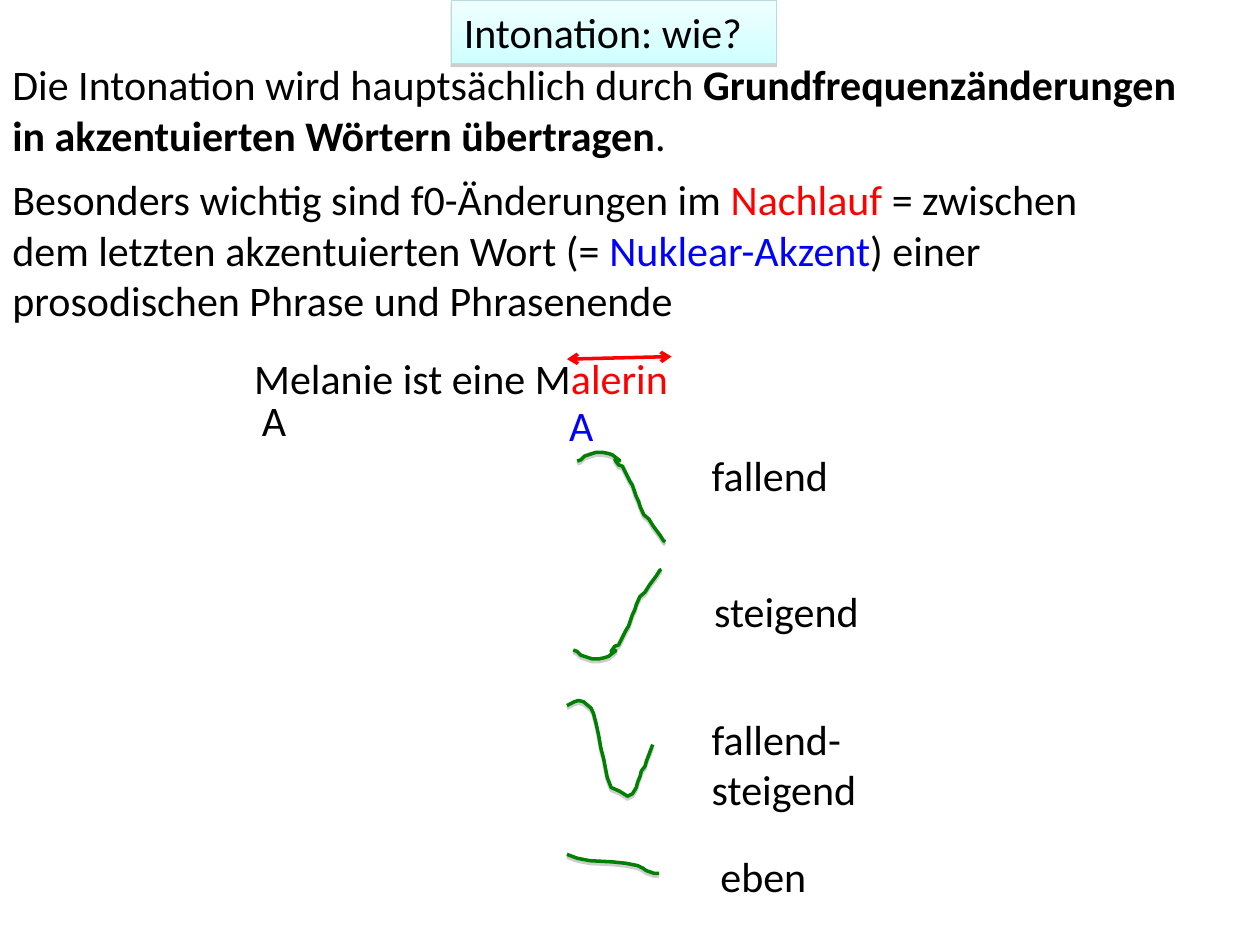
from lxml.etree import SubElement
from pptx import Presentation
from pptx.dml.color import RGBColor
from pptx.enum.shapes import MSO_CONNECTOR
from pptx.enum.text import MSO_ANCHOR, MSO_AUTO_SIZE, PP_ALIGN
from pptx.oxml.ns import qn
from pptx.util import Pt

BLACK = RGBColor(0x00, 0x00, 0x00)
RED = RGBColor(0xFF, 0x00, 0x00)
BLUE = RGBColor(0x00, 0x00, 0xFF)
GREEN = RGBColor(0x00, 0x80, 0x00)
PALE = RGBColor(0xF0, 0xFF, 0xFF)
CYAN = RGBColor(0xCF, 0xFF, 0xFF)
EDGE = RGBColor(0xB6, 0xDC, 0xDF)

TITLE = ((257.8, 0, 185.8, 36.4), [("Intonation: wie?", {})])
TEXTS = [
    ((0, 30.2, 702, 64.8), [
        ("Die Intonation wird hauptsächlich durch ", {}),
        ("Grundfrequenzänderungen in akzentuierten Wörtern übertragen", {"bold": True}),
        (".", {})]),
    ((0, 95.8, 666, 93.6), [
        ("Besonders wichtig sind f0-Änderungen im ", {}),
        ("Nachlauf ", {"color": RED}),
        ("= zwischen dem letzten akzentuierten Wort (= ", {}),
        ("Nuklear-Akzent", {"color": BLUE}),
        (") einer prosodischen Phrase und Phrasenende", {})]),
    ((138.2, 198, 282.2, 36), [("Melanie ist eine M", {}), ("alerin", {"color": RED})]),
    ((142.6, 221.8, 28.1, 36), [("A", {})]),
    ((318.2, 224.6, 33.8, 36), [("A", {"color": BLUE})]),
    ((399.6, 253.4, 122.4, 36), [("fallend", {})]),
    ((401, 331.2, 121, 36), [("steigend", {})]),
    ((399.6, 403.9, 140.4, 64.8), [("fallend-steigend", {})]),
    ((404.6, 482.4, 67.7, 36), [("eben", {})]),
]
NACHLAUF_ARROW = (324, 205.2, 383.8, 203.8)

FALLING = [
    (329.8, 263.5), (331.9, 262.8), (334.1, 260.6), (338.4, 259.2), (340.6, 258.5),
    (344.5, 258.5), (347.8, 259.2), (349.9, 259.9), (354.2, 263.2), (351.4, 262.8),
    (353.5, 265.7), (355.7, 266.4), (360, 275), (361.4, 277.2), (363.6, 283.7),
    (365, 286.6), (365.8, 289.4), (367.9, 294.1), (370.8, 296.6), (373.3, 300.6),
    (377.3, 306), (379.2, 309), (380.2, 309.6)]
RISING = [(x - 2.2, 635 - y) for x, y in FALLING]
FALL_RISE = [
    (324, 403.2), (328.3, 401), (330.5, 400.3), (333.4, 401), (337.7, 404.6),
    (339.1, 407.5), (340.6, 413.3), (342, 419.8), (343.4, 427.7), (344.9, 433.4),
    (346.3, 440.6), (347, 444.2), (349.2, 450), (354.2, 452.2), (358.6, 455),
    (361.4, 453.6), (363.6, 450), (364.3, 447.1), (365.8, 443.5), (366.5, 440.6),
    (368.6, 437.8), (369.4, 434.9), (370.8, 431.3), (372.4, 427), (373, 425.5)]
LEVEL = [
    (324, 488.2), (329.8, 490.4), (337, 491.8), (349.9, 492.5), (357.5, 493.3),
    (364.3, 494.6), (367, 495.9), (369.4, 497.5), (373.7, 499), (376.6, 499)]


def add_effects(sp, shadow=True):
    effects = SubElement(sp._element.spPr, qn("a:effectLst"))
    if shadow:
        outer = SubElement(effects, qn("a:outerShdw"), blurRad="0",
                           dist=str(Pt(1.6)), dir="5400000", rotWithShape="0")
        color = SubElement(outer, qn("a:srgbClr"), val="808080")
        SubElement(color, qn("a:alpha"), val="38000")


def write(sp, runs, auto_size=MSO_AUTO_SIZE.SHAPE_TO_FIT_TEXT):
    tf = sp.text_frame
    frame = {"word_wrap": True, "auto_size": auto_size,
             "vertical_anchor": MSO_ANCHOR.TOP}
    for name, value in frame.items():
        setattr(tf, name, value)
    p = tf.paragraphs[0]
    p.alignment = PP_ALIGN.LEFT
    for text, style in runs:
        r = p.add_run()
        r.text = text
        font = {"name": "Calibri", "size": Pt(24), "bold": style.get("bold", False)}
        for name, value in font.items():
            setattr(r.font, name, value)
        r.font.color.rgb = style.get("color", BLACK)


def draw_line(sp, color, width):
    sp.line.color.rgb = color
    sp.line.width = Pt(width)


def add_contour(slide, points):
    (x, y), *rest = [(Pt(px), Pt(py)) for px, py in points]
    builder = slide.shapes.build_freeform(x, y)
    builder.add_line_segments(rest, close=False)
    sp = builder.convert_to_shape()
    sp.fill.background()
    draw_line(sp, GREEN, 2)
    SubElement(sp.line._ln, qn("a:round"))
    add_effects(sp)


def main():
    prs = Presentation()
    prs.slide_width, prs.slide_height = Pt(720), Pt(540)
    slide = prs.slides.add_slide(prs.slide_layouts[5])

    box, runs = TITLE
    title = slide.shapes.title
    for name, value in zip(("left", "top", "width", "height"), box):
        setattr(title, name, Pt(value))
    title.fill.gradient()
    title.fill.gradient_angle = 270
    for stop, color in zip(title.fill.gradient_stops, (PALE, CYAN)):
        stop.color.rgb = color
    draw_line(title, EDGE, 0.75)
    add_effects(title)
    write(title, runs, MSO_AUTO_SIZE.NONE)

    for box, runs in TEXTS:
        write(slide.shapes.add_textbox(*map(Pt, box)), runs)

    arrow = slide.shapes.add_connector(MSO_CONNECTOR.STRAIGHT, *map(Pt, NACHLAUF_ARROW))
    draw_line(arrow, RED, 2)
    for end in ("a:headEnd", "a:tailEnd"):
        SubElement(arrow.line._ln, qn(end), type="arrow")
    add_effects(arrow, shadow=False)

    for contour in (FALLING, RISING, FALL_RISE, LEVEL):
        add_contour(slide, contour)

    prs.save("out.pptx")


if __name__ == "__main__":
    main()
